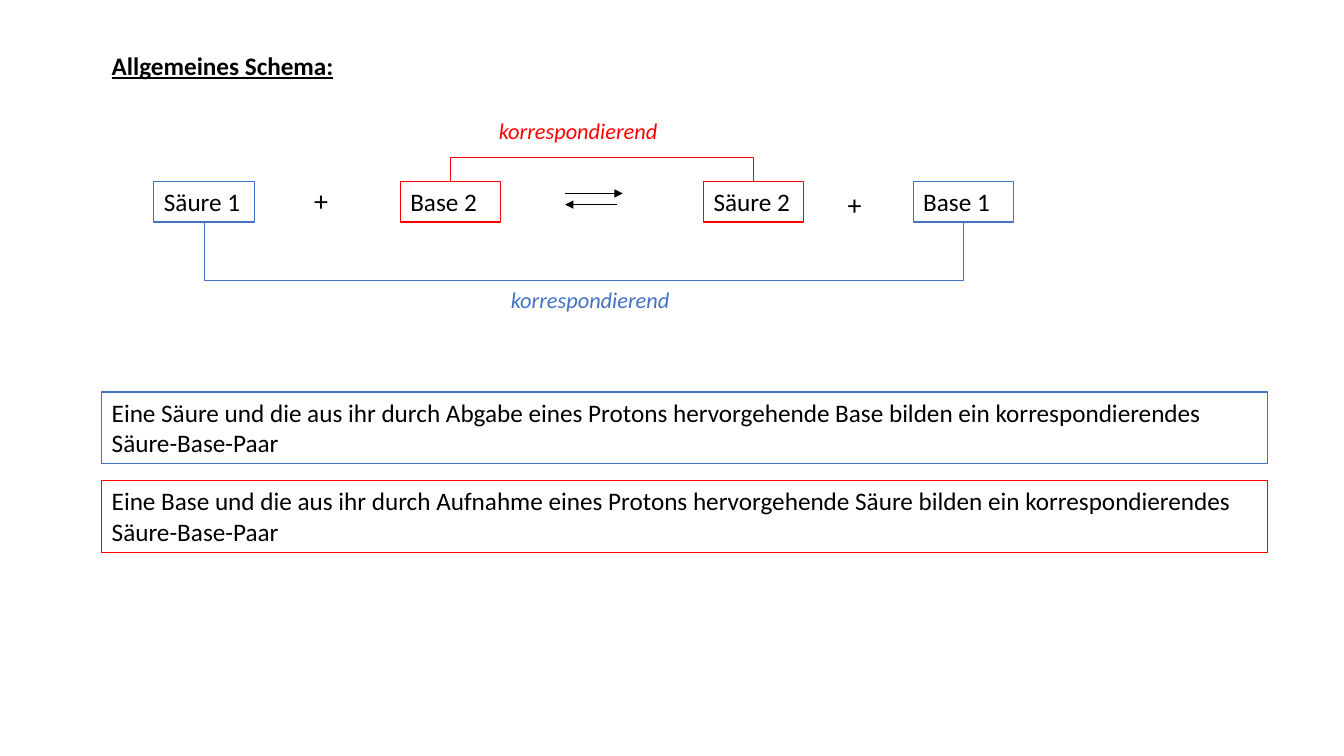
"""Build a slide on conjugate acid-base pairs."""
from dataclasses import dataclass

from lxml.etree import SubElement
from pptx import Presentation
from pptx.dml.color import RGBColor
from pptx.enum.shapes import MSO_CONNECTOR
from pptx.enum.text import MSO_AUTO_SIZE
from pptx.oxml.ns import qn
from pptx.util import Pt


@dataclass(frozen=True)
class Theme:
    """Colours, type and line widths of the slide."""
    black: RGBColor = RGBColor(0x00, 0x00, 0x00)
    blue: RGBColor = RGBColor(0x44, 0x72, 0xC4)
    red: RGBColor = RGBColor(0xFF, 0x00, 0x00)
    font: str = "Calibri"
    body: int = 18
    sign: int = 20
    label: int = 16
    frame: float = 0.75
    link: float = 0.5


THEME = Theme()


def add_text(page, text, left, top, width, height, size=THEME.body,
             color=THEME.black, **formats):
    """Add a wrapped text box and return it."""
    box = page.shapes.add_textbox(Pt(left), Pt(top), Pt(width), Pt(height))
    frame = box.text_frame
    frame.word_wrap = True
    frame.auto_size = MSO_AUTO_SIZE.SHAPE_TO_FIT_TEXT
    span = frame.paragraphs[0].add_run()
    span.text = text
    span.font.color.rgb = color
    for name, value in {"name": THEME.font, "size": Pt(size), **formats}.items():
        setattr(span.font, name, value)
    return box


def add_framed_text(page, text, left, top, width, height, color):
    """Add a text box with a coloured outline."""
    box = add_text(page, text, left, top, width, height)
    box.line.color.rgb = color
    box.line.width = Pt(THEME.frame)


def add_arrow(page, start, end, y):
    """Add a horizontal arrow pointing at its end."""
    arrow = page.shapes.add_connector(
        MSO_CONNECTOR.STRAIGHT, Pt(start), Pt(y), Pt(end), Pt(y))
    arrow.line.color.rgb = THEME.black
    arrow.line.width = Pt(THEME.link)
    SubElement(arrow.line._get_or_add_ln(), qn("a:tailEnd"), type="triangle")
    SubElement(arrow._element.spPr, qn("a:effectLst"))


def add_bracket(page, left, right, edge, rail, color):
    """Add an open bracket that joins two boxes along a rail."""
    builder = page.shapes.build_freeform(Pt(left), Pt(edge))
    corners = [(left, rail), (right, rail), (right, edge)]
    builder.add_line_segments([(Pt(x), Pt(y)) for x, y in corners], close=False)
    bracket = builder.convert_to_shape()
    bracket.shadow.inherit = False
    bracket.fill.background()
    bracket.line.color.rgb = color
    bracket.line.width = Pt(THEME.link)


def add_equation(page):
    """Add the reaction scheme with its two conjugate pairs."""
    top, width, height = 129.6, 71.6, 29
    partners = {"Säure 1": (110, THEME.blue), "Base 2": (286, THEME.red),
                "Säure 2": (502.6, THEME.red), "Base 1": (652.4, THEME.blue)}
    for text, (left, color) in partners.items():
        add_framed_text(page, text, left, top, width, height, color)
    for left, sign_top in ((217.4, 127.4), (598.3, 130.3)):
        add_text(page, "+", left, sign_top, 26.6, 31.5, THEME.sign)
    add_arrow(page, 403.7, 444.8, 138.2)
    add_arrow(page, 440.6, 403.7, 146.2)

    pairs = [("Säure 1", "Base 1", top + height, 200.2, 357.8, 200.9),
             ("Base 2", "Säure 2", top, 112.3, 349.2, 79.9)]
    for first, second, edge, rail, label_left, label_top in pairs:
        left, color = partners[first]
        right = partners[second][0]
        add_bracket(page, left + width / 2, right + width / 2, edge, rail, color)
        add_text(page, "korrespondierend", label_left, label_top, 149.8, 26.6,
                 THEME.label, color, italic=True)


def add_definitions(page):
    """Add the two framed definitions."""
    definitions = [
        ("Eine Säure und die aus ihr durch Abgabe eines Protons hervorgehende "
         "Base bilden ein korrespondierendes Säure-Base-Paar", THEME.blue),
        ("Eine Base und die aus ihr durch Aufnahme eines Protons hervorgehende "
         "Säure bilden ein korrespondierendes Säure-Base-Paar", THEME.red)]
    for row, (text, color) in enumerate(definitions):
        add_framed_text(page, text, 72.7, 280 + 63.4 * row, 832.4, 51, color)


def main():
    """Build and save the deck."""
    deck = Presentation()
    deck.slide_width, deck.slide_height = Pt(960), Pt(540)
    page = deck.slides.add_slide(deck.slide_layouts[6])
    add_text(page, "Allgemeines Schema:", 72.7, 32.4, 181.4, 29,
             bold=True, underline=True)
    add_equation(page)
    add_definitions(page)
    deck.save("out.pptx")


if __name__ == "__main__":
    main()
